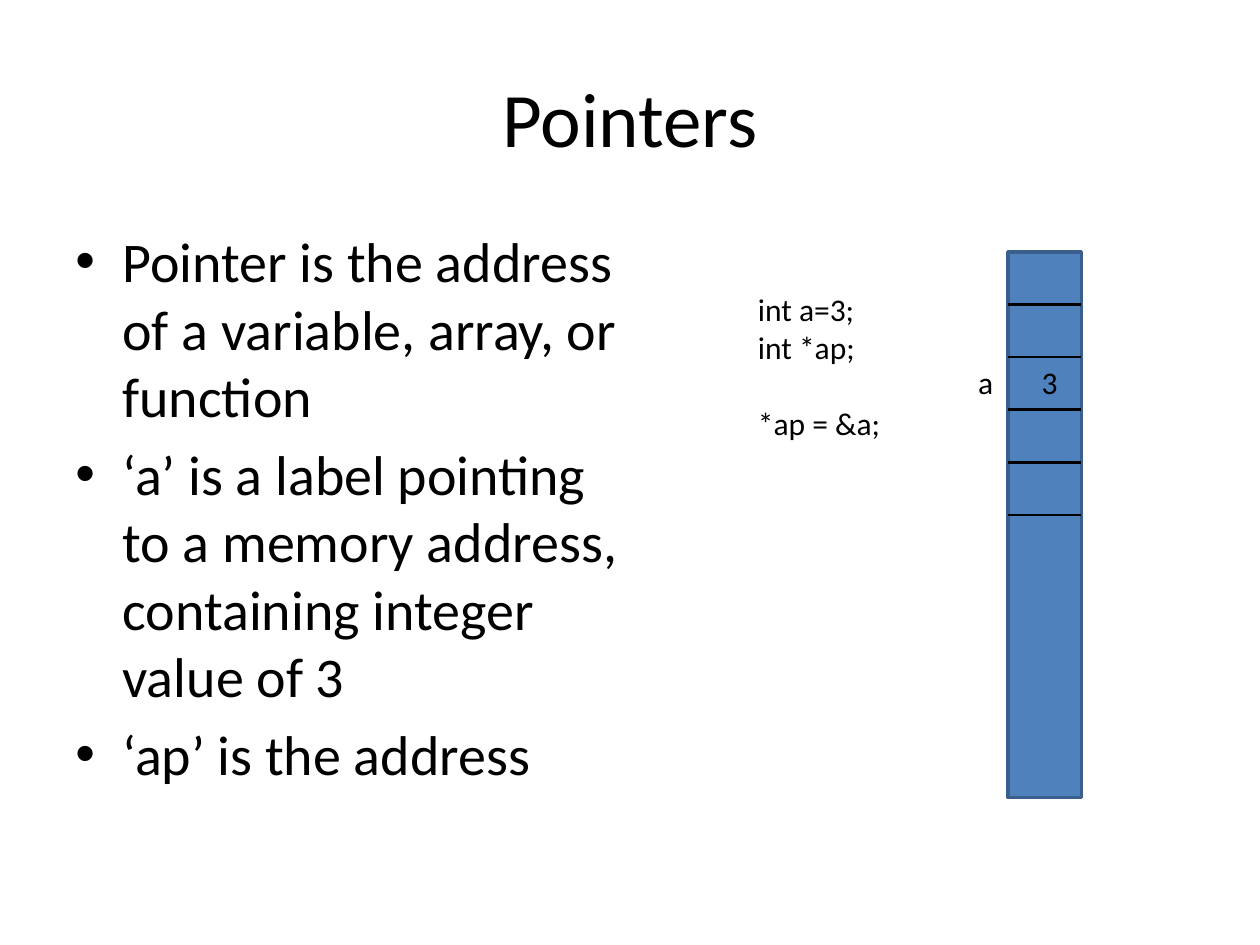
from lxml import etree
from pptx import Presentation
from pptx.dml.color import RGBColor
from pptx.enum.shapes import MSO_CONNECTOR, MSO_SHAPE
from pptx.enum.text import MSO_ANCHOR, PP_ALIGN
from pptx.oxml.ns import qn
from pptx.util import Cm, Pt

COLORS = {"text": "000000", "memory": "4F81BD", "border": "3A5F8C", "divider": "000000"}


class SlideBuilder:
    """Holds the style and the current slide."""

    font = "Calibri"

    def __init__(self, page):
        """Keep the slide to draw on."""
        self.page = page

    def color(self, name):
        """Look up a named colour."""
        return RGBColor.from_string(COLORS[name])

    def text(self, left, top, width, height, lines, size, wrap=False,
             align=PP_ALIGN.LEFT, anchor=MSO_ANCHOR.TOP):
        """Add a text box with one paragraph a line and return its paragraphs."""
        box = self.page.shapes.add_textbox(Cm(left), Cm(top), Cm(width), Cm(height))
        frame = box.text_frame
        frame.text = "\n".join(lines)
        frame.word_wrap = wrap
        frame.vertical_anchor = anchor
        for para in frame.paragraphs:
            para.alignment = align
            para.font.name = self.font
            para.font.size = Pt(size)
            para.font.color.rgb = self.color("text")
        return frame.paragraphs

    def bullets(self, left, top, width, height, lines, size):
        """Add a bulleted list with hanging indents."""
        indent = Cm(0.95)
        for para in self.text(left, top, width, height, lines, size, wrap=True):
            para.space_before = Pt(size * 0.2)
            properties = para._p.get_or_add_pPr()
            properties.set("marL", str(indent))
            properties.set("indent", str(-indent))
            bullet_font = etree.SubElement(properties, qn("a:buFont"))
            bullet_font.set("typeface", "Arial")
            bullet = etree.SubElement(properties, qn("a:buChar"))
            bullet.set("char", "•")

    def rectangle(self, left, top, width, height, fill, border):
        """Add a filled rectangle with a border."""
        shape = self.page.shapes.add_shape(
            MSO_SHAPE.RECTANGLE, Cm(left), Cm(top), Cm(width), Cm(height))
        shape.shadow.inherit = False
        shape.fill.solid()
        shape.fill.fore_color.rgb = self.color(fill)
        shape.line.color.rgb = self.color(border)
        shape.line.width = Pt(2)

    def horizontal_line(self, left, top, width, color):
        """Add a level line without a shadow."""
        line = self.page.shapes.add_connector(
            MSO_CONNECTOR.STRAIGHT, Cm(left), Cm(top), Cm(left + width), Cm(top))
        line.line.color.rgb = self.color(color)
        line.line.width = Pt(1.5)
        etree.SubElement(line._element.spPr, qn("a:effectLst"))


def build():
    """Build the slide and save it."""
    deck = Presentation()
    deck.slide_width, deck.slide_height = Cm(25.4), Cm(19.05)
    slide = SlideBuilder(deck.slides.add_slide(deck.slide_layouts[6]))

    slide.text(1.27, 0.76, 22.86, 3.18, ["Pointers"], 44, wrap=True,
               align=PP_ALIGN.CENTER, anchor=MSO_ANCHOR.MIDDLE)
    slide.bullets(1.27, 4.45, 11.64, 13.76, [
        "Pointer is the address of a variable, array, or function",
        "‘a’ is a label pointing to a memory address, containing integer value of 3",
        "‘ap’ is the address ",
    ], 32)

    memory_left, memory_top, memory_width, cell_height = 20.32, 5.08, 1.48, 1.06
    slide.rectangle(memory_left, memory_top, memory_width, 11, "memory", "border")
    for cell in range(1, 6):
        slide.horizontal_line(memory_left, memory_top + cell * cell_height,
                              memory_width, "divider")

    code = slide.text(15.03, 5.72, 3.02, 4.87,
                      ["int a=3;", "int *ap;", "*ap = &a;"], 18)
    code[-1].space_before = Pt(22)
    value_top = memory_top + 2 * cell_height
    for left, label in ((20.75, "3"), (19.47, "a")):
        slide.text(left, value_top, 0.82, 1.02, [label], 18)

    deck.save("out.pptx")


build()
